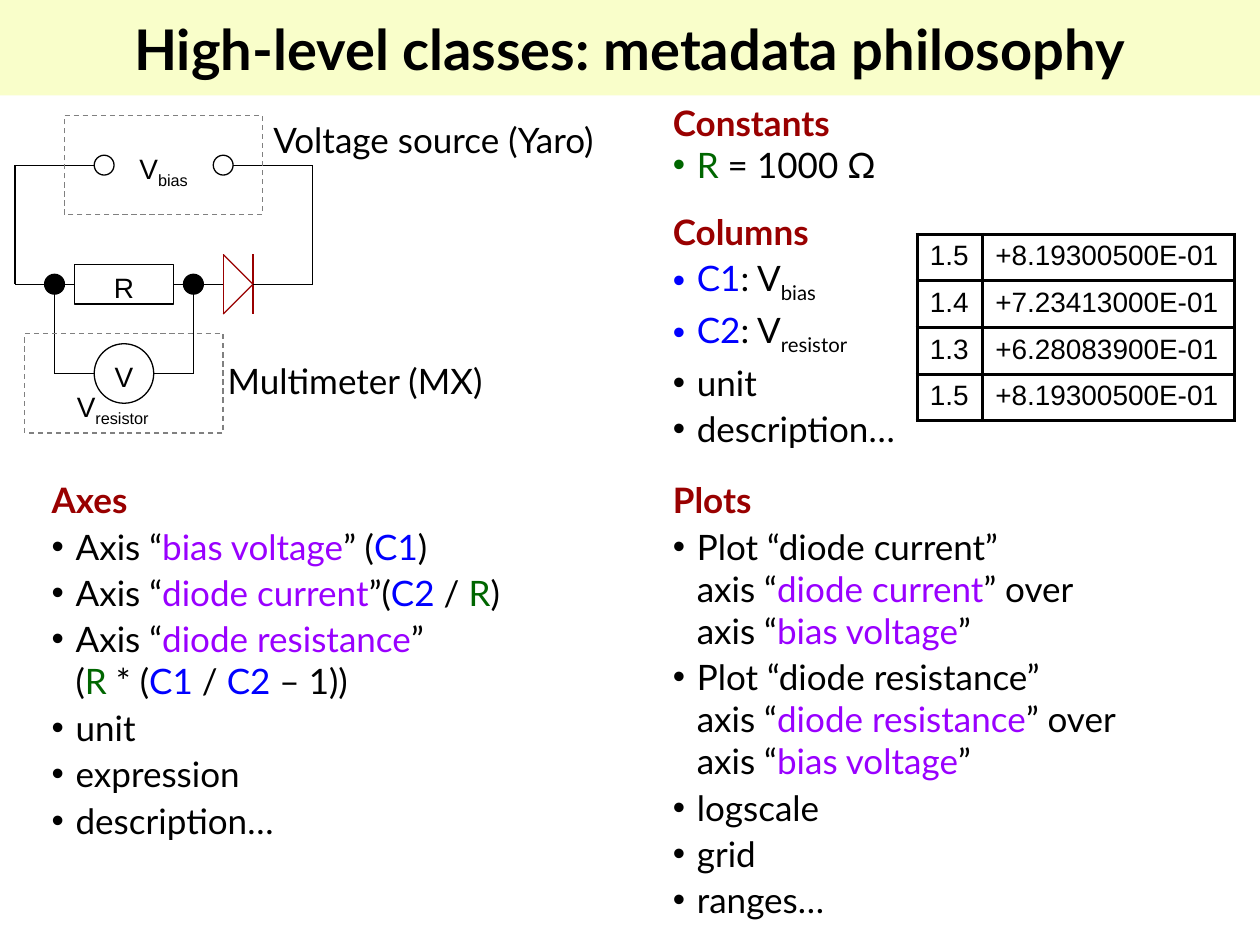
from typing import NamedTuple

from lxml import etree
from pptx import Presentation, util as u
from pptx.dml.color import RGBColor
from pptx.enum import dml, shapes, text
from pptx.oxml import ns

BLACK, GREY, RED = "000000", "808080", "990000"
BLUE, GREEN, PURPLE = "0000FF", "006600", "9900FF"
GRID, LEFT, TOP = u.Mm(2), u.Mm(3), u.Mm(33.3)
FULL_WIDTH, FULL_HEIGHT = u.Inches(10), u.Inches(7.5)


class Run(NamedTuple):
    words: str
    color: str = BLACK
    lowered: bool = False


class Section(NamedTuple):
    heading: str
    box: tuple[float, float, float, float]
    items: list[list[Run]]
    gap: float = 2.5


class Part(NamedTuple):
    kind: str
    column: float
    row: float
    columns: float
    rows: float
    line: str = BLACK
    fill: str = ""
    dashed: bool = False


class Label(NamedTuple):
    column: float
    row: float
    columns: float
    rows: float
    runs: list[Run]
    font: str = "Arial"
    size: float = 16
    centred: bool = True


class Wire(NamedTuple):
    points: list[tuple[float, float]]
    color: str = BLACK


R, C1, C2 = Run("R", GREEN), Run("C1", BLUE), Run("C2", BLUE)
BIAS, CURRENT, RESISTANCE = (
    Run(name, PURPLE) for name in ("bias voltage", "diode current", "diode resistance"))
V_BIAS = [Run("V"), Run("bias", lowered=True)]
V_RESISTOR = [Run("V"), Run("resistor", lowered=True)]


def plot_item(title: str, axis: Run) -> list[Run]:
    return [Run(f"Plot “{title}”\naxis “"), axis, Run("” over\naxis “"), BIAS, Run("”")]


SECTIONS = [
    Section("Columns", (0.524, 0.216, 0.26, 0.267), [
        [C1, Run(": V"), V_BIAS[1]], [C2, Run(": V"), V_RESISTOR[1]],
        [Run("unit")], [Run("description…")]]),
    Section("Axes", (0.031, 0.5, 0.469, 0.403), [
        [Run("Axis “"), BIAS, Run("” ("), C1, Run(")")],
        [Run("Axis “"), CURRENT, Run("”("), C2, Run(" / "), R, Run(")")],
        [Run("Axis “"), RESISTANCE, Run("”\n("), R, Run(" * ("), C1, Run(" / "), C2,
         Run(" – 1))")],
        [Run("unit")], [Run("expression")], [Run("description…")]]),
    Section("Plots", (0.524, 0.5, 0.476, 0.481), [
        plot_item("diode current", CURRENT), plot_item("diode resistance", RESISTANCE),
        [Run("logscale")], [Run("grid")], [Run("ranges…")]]),
    Section("Constants", (0.524, 0.101, 0.278, 0.103), [[R, Run(" = 1000 Ω")]], 0),
]
WIRES = [
    Wire([(21, 9), (24, 12), (21, 15), (21, 9)], RED),
    Wire([(24, 9), (24, 15)], RED),
    Wire([(24, 12), (30, 12), (30, 0), (22, 0)]),
    Wire([(21, 12), (16, 12)]),
    Wire([(6, 12), (0, 12), (0, 0), (8, 0)]),
    Wire([(4, 12), (4, 21), (8, 21)]),
    Wire([(14, 21), (18, 21), (18, 12)]),
]
PARTS = [
    Part("RECTANGLE", 6, 10, 10, 4),
    Part("OVAL", 20, -1, 2, 2),
    Part("OVAL", 8, -1, 2, 2),
    Part("OVAL", 8, 18, 6, 6),
    Part("OVAL", 3, 11, 2, 2, fill=BLACK),
    Part("OVAL", 17, 11, 2, 2, fill=BLACK),
    Part("RECTANGLE", 5, -5, 20, 10, GREY, dashed=True),
    Part("RECTANGLE", 1, 17, 20, 10, GREY, dashed=True),
]
LABELS = [
    Label(5, 22, 12, 5.2, V_RESISTOR, centred=False),
    Label(8, 19, 6, 4.7, [Run("V")]),
    Label(7, 10, 8, 4.7, [Run("R")]),
    Label(10, -2, 10, 5.2, V_BIAS),
    Label(24.8, -5.3, 38.4, 5.6, [Run("Voltage source (Yaro)")], "Lato", 20, False),
    Label(20.2, 19, 28.8, 5.6, [Run("Multimeter (MX)")], "Lato", 20, False),
]
READINGS = [("1.5", "+8.19300500E-01"), ("1.4", "+7.23413000E-01"),
            ("1.3", "+6.28083900E-01"), ("1.5", "+8.19300500E-01")]


def rgb(color: str) -> RGBColor:
    return RGBColor.from_string(color)


def at(column: float, row: float) -> tuple[int, int]:
    return round(LEFT + column * GRID), round(TOP + row * GRID)


def place(holder, left: float, top: float, width: float, height: float) -> None:
    holder.left, holder.width = round(left * FULL_WIDTH), round(width * FULL_WIDTH)
    holder.top, holder.height = round(top * FULL_HEIGHT), round(height * FULL_HEIGHT)


def write(paragraph, runs: list[Run], font: str, size: float, bold: bool = False) -> None:
    paragraph.font.name, paragraph.font.size = font, u.Pt(size)
    paragraph.font.bold = bold
    for words, color, lowered in runs:
        for index, line in enumerate(words.split("\n")):
            if index:
                paragraph.add_line_break()
            run = paragraph.add_run()
            run.text = line
            run.font.color.rgb = rgb(color)
            if lowered:
                run.font._element.set("baseline", "-25000")


def set_bullet(paragraph, color: str = "") -> None:
    properties = paragraph._p.get_or_add_pPr()
    indent = u.Inches(0.19) if color else 0
    properties.set("marL", str(indent))
    properties.set("indent", str(-indent))
    marks = [etree.Element(ns.qn("a:buNone"))]
    if color:
        tint = etree.Element(ns.qn("a:buClr"))
        etree.SubElement(tint, ns.qn("a:srgbClr"), val=color)
        marks = [tint, etree.Element(ns.qn("a:buChar"), char="•")]
    for mark in marks:
        properties.insert_element_before(mark, "a:tabLst", "a:defRPr", "a:extLst")


def fill_section(holder, section: Section) -> None:
    place(holder, *section.box)
    frame = holder.text_frame
    frame.auto_size, frame.vertical_anchor = text.MSO_AUTO_SIZE.NONE, text.MSO_ANCHOR.TOP
    for index, runs in enumerate([[Run(section.heading, RED)], *section.items]):
        paragraph = frame.add_paragraph() if index else frame.paragraphs[0]
        paragraph.space_before = u.Pt(section.gap if index else 0)
        write(paragraph, runs, "Lato", 20, bold=not index)
        set_bullet(paragraph, runs[0].color if index else "")


def draw_wire(slide, wire: Wire) -> None:
    for start, end in zip(wire.points, wire.points[1:]):
        segment = slide.shapes.add_connector(
            shapes.MSO_CONNECTOR.STRAIGHT, *at(*start), *at(*end))
        segment.line.color.rgb, segment.line.width = rgb(wire.color), u.Pt(0.75)
        etree.SubElement(segment._element.spPr, ns.qn("a:effectLst"))


def draw_part(slide, part: Part) -> None:
    shape = slide.shapes.add_shape(
        shapes.MSO_SHAPE[part.kind], *at(part.column, part.row),
        round(part.columns * GRID), round(part.rows * GRID))
    shape.shadow.inherit = False
    shape.line.color.rgb, shape.line.width = rgb(part.line), u.Pt(0.75)
    if part.dashed:
        shape.line.dash_style = dml.MSO_LINE.DASH
    if part.fill:
        shape.fill.solid()
        shape.fill.fore_color.rgb = rgb(part.fill)
    else:
        shape.fill.background()


def draw_label(slide, label: Label) -> None:
    frame = slide.shapes.add_textbox(
        *at(label.column, label.row),
        round(label.columns * GRID), round(label.rows * GRID)).text_frame
    frame.word_wrap = label.font == "Arial"
    paragraph = frame.paragraphs[0]
    if label.centred:
        paragraph.alignment, paragraph.space_before = text.PP_ALIGN.CENTER, u.Pt(10)
    write(paragraph, label.runs, label.font, label.size)


def draw_readings(slide) -> None:
    table = slide.shapes.add_table(
        len(READINGS), 2, u.Inches(7.28), u.Inches(1.86), u.Inches(2.52), u.Inches(1.48)).table
    table.first_row = table.horz_banding = False
    table.columns[0].width, table.columns[1].width = u.Inches(0.52), u.Inches(2)
    for row, values in enumerate(READINGS):
        for column, value in enumerate(values):
            cell = table.cell(row, column)
            write(cell.text_frame.paragraphs[0], [Run(value)], "Arial", 16)
            for side in ("lnL", "lnR", "lnT", "lnB"):
                border = etree.SubElement(
                    cell._tc.get_or_add_tcPr(), ns.qn(f"a:{side}"), w=str(u.Pt(1.98)))
                ink = etree.SubElement(border, ns.qn("a:solidFill"))
                etree.SubElement(ink, ns.qn("a:srgbClr"), val=BLACK)
            cell.fill.background()


def main() -> None:
    """Build the slide on metadata philosophy."""
    deck = Presentation()
    deck.slide_width, deck.slide_height = FULL_WIDTH, FULL_HEIGHT
    slide = deck.slides.add_slide(deck.slide_layouts.get_by_name("Comparison"))
    title, *bodies = slide.placeholders
    place(title, 0, 0, 1, 0.101)
    title.fill.solid()
    title.fill.fore_color.rgb = rgb("F9FECA")
    title.text_frame.vertical_anchor = text.MSO_ANCHOR.MIDDLE
    title.text_frame.auto_size = text.MSO_AUTO_SIZE.NONE
    heading = title.text_frame.paragraphs[0]
    heading.alignment = text.PP_ALIGN.CENTER
    write(heading, [Run("High-level classes: metadata philosophy")], "Lato", 32, bold=True)
    for holder, section in zip(bodies, SECTIONS):
        fill_section(holder, section)
    for draw, pieces in ((draw_wire, WIRES), (draw_part, PARTS), (draw_label, LABELS)):
        for piece in pieces:
            draw(slide, piece)
    draw_readings(slide)
    deck.save("out.pptx")


if __name__ == "__main__":
    main()
